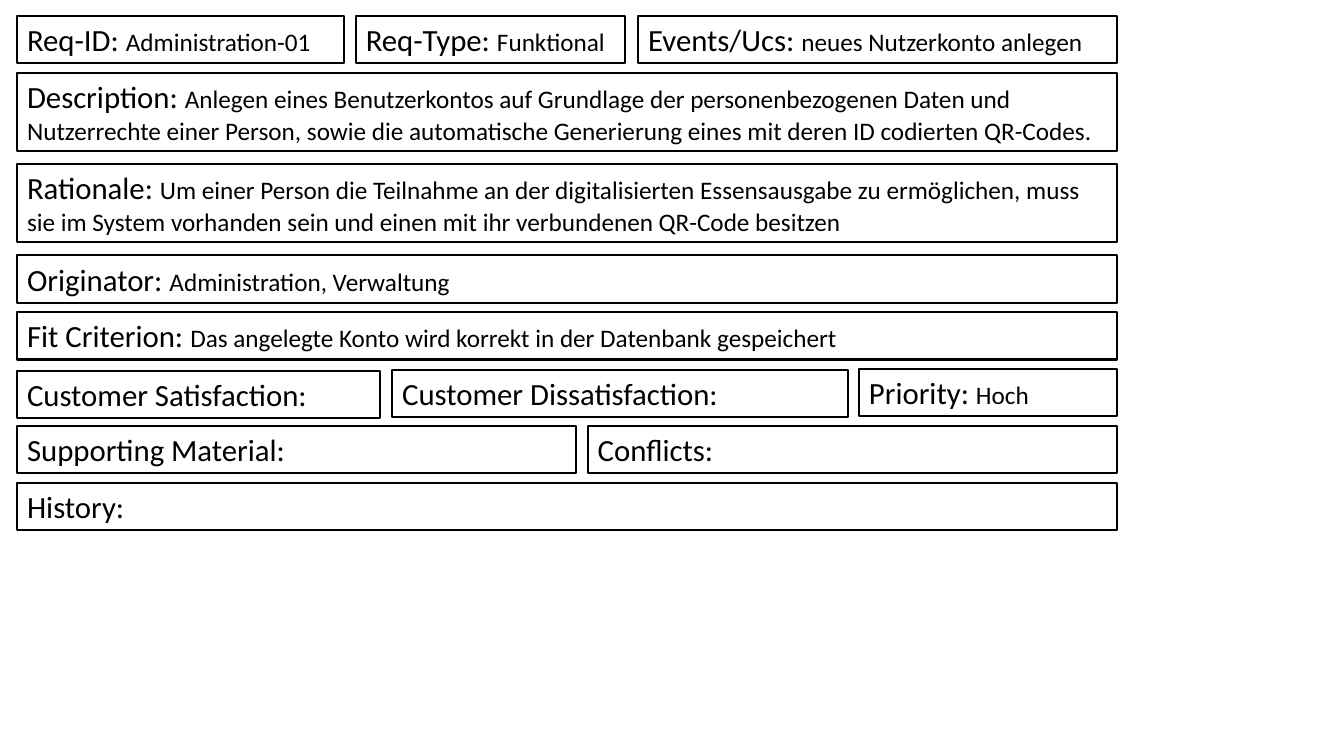
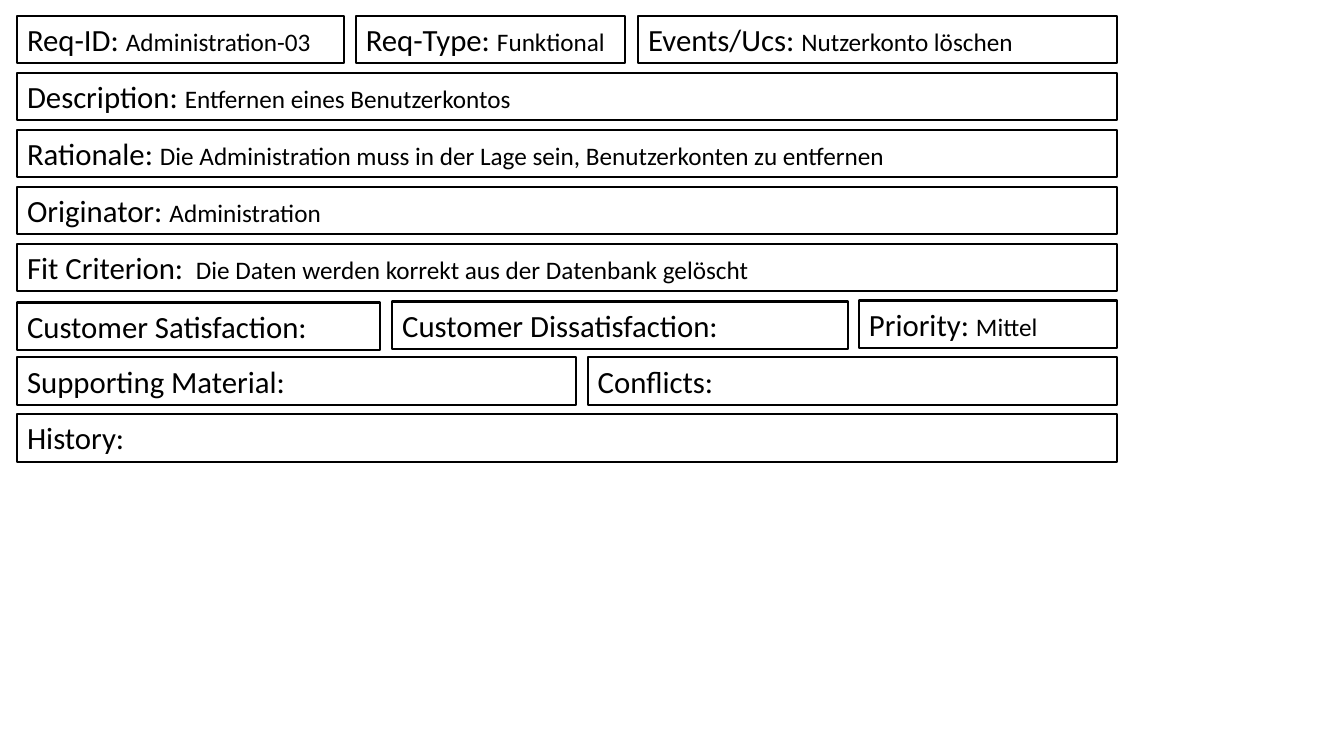
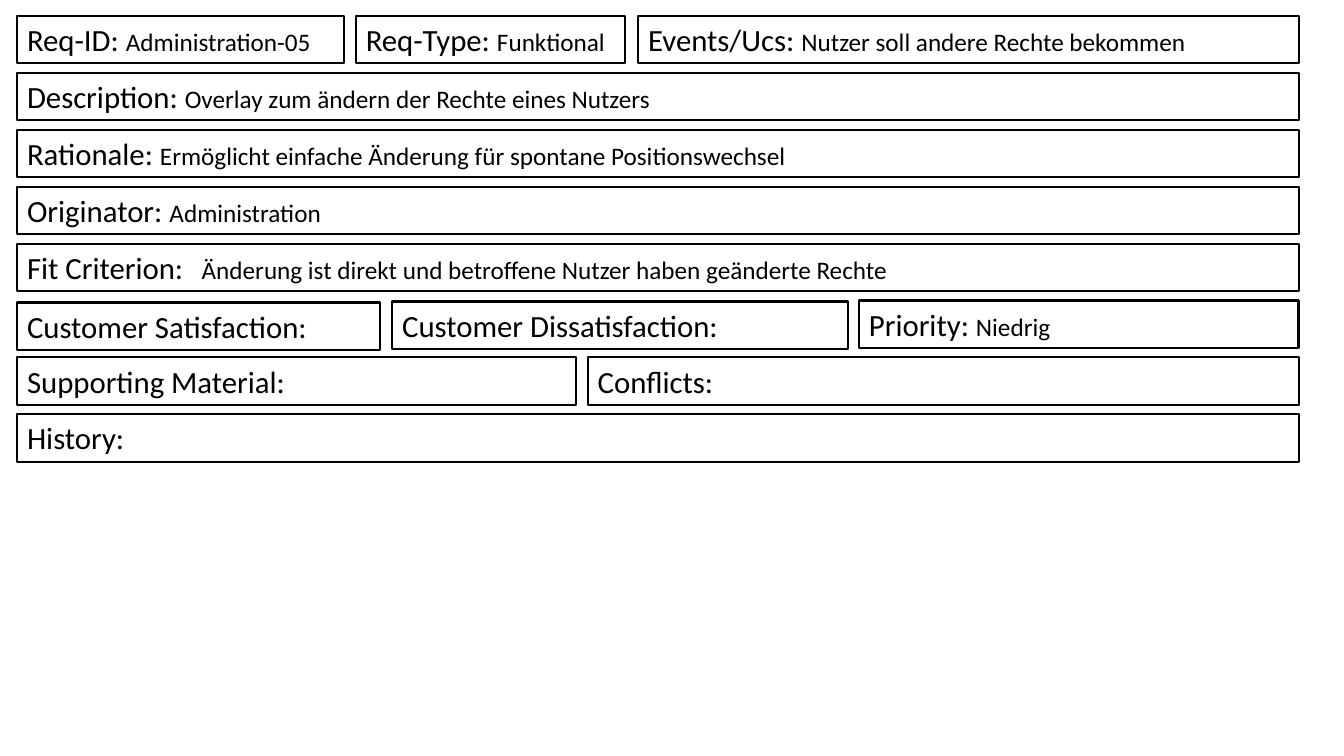
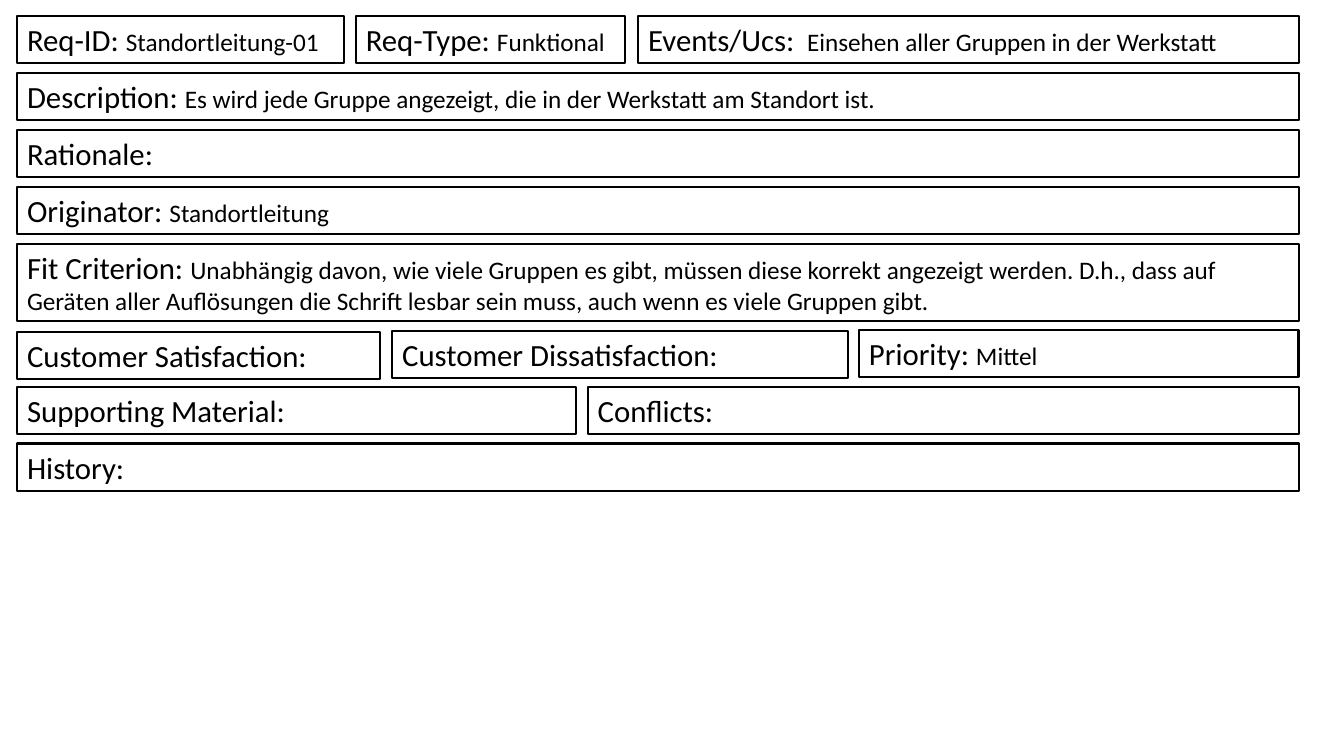
"""Build four requirement cards as rows of bordered, labelled boxes."""
from dataclasses import dataclass

from pptx import Presentation
from pptx import util as u
from pptx.dml import color
from pptx.enum import shapes, text

HUES = {"ink": "000000"}
FONT = "Calibri"
LEFT, TOP = 0.17, 0.16
STEP = (4.11 - TOP) / 7
LOW, HIGH = 0.47, 0.77


@dataclass(frozen=True)
class Field:
    label: str
    left: float = LEFT
    right: float | None = None
    drop: float = 0


@dataclass(frozen=True)
class Card:
    right: float
    values: dict[str, str]
    tall: tuple[str, ...] = ()
    extra: float = 0


ROWS = (
    (Field("Req-ID", right=3.41), Field("Req-Type", 3.53, 6.2), Field("Events/Ucs", 6.33)),
    (Field("Description"),),
    (Field("Rationale"),),
    (Field("Originator"),),
    (Field("Fit Criterion"),),
    (
        Field("Customer Satisfaction", right=3.77, drop=0.02),
        Field("Customer Dissatisfaction", 3.89, 8.41, 0.01),
        Field("Priority", 8.52),
    ),
    (Field("Supporting Material", right=5.71), Field("Conflicts", 5.83)),
    (Field("History"),),
)

CARDS = (
    Card(
        11.08,
        {
            "Req-ID": "Administration-01",
            "Req-Type": "Funktional",
            "Events/Ucs": "neues Nutzerkonto anlegen",
            "Description": "Anlegen eines Benutzerkontos auf Grundlage der personenbezogenen "
            "Daten und Nutzerrechte einer Person, sowie die automatische Generierung eines "
            "mit deren ID codierten QR-Codes.",
            "Rationale": "Um einer Person die Teilnahme an der digitalisierten Essensausgabe "
            "zu ermöglichen, muss sie im System vorhanden sein und einen mit ihr verbundenen "
            "QR-Code besitzen",
            "Originator": "Administration, Verwaltung",
            "Fit Criterion": "Das angelegte Konto wird korrekt in der Datenbank gespeichert",
            "Priority": "Hoch",
        },
        tall=("Description", "Rationale"),
        extra=0.34,
    ),
    Card(
        11.08,
        {
            "Req-ID": "Administration-03",
            "Req-Type": "Funktional",
            "Events/Ucs": "Nutzerkonto löschen",
            "Description": "Entfernen eines Benutzerkontos",
            "Rationale": "Die Administration muss in der Lage sein, Benutzerkonten zu entfernen",
            "Originator": "Administration",
            "Fit Criterion": " Die Daten werden korrekt aus der Datenbank gelöscht",
            "Priority": "Mittel",
        },
    ),
    Card(
        12.88,
        {
            "Req-ID": "Administration-05",
            "Req-Type": "Funktional",
            "Events/Ucs": "Nutzer soll andere Rechte bekommen",
            "Description": "Overlay zum ändern der Rechte eines Nutzers",
            "Rationale": "Ermöglicht einfache Änderung für spontane Positionswechsel",
            "Originator": "Administration",
            "Fit Criterion": "  Änderung ist direkt und betroffene Nutzer haben geänderte Rechte",
            "Priority": "Niedrig",
        },
    ),
    Card(
        12.88,
        {
            "Req-ID": "Standortleitung-01",
            "Req-Type": "Funktional",
            "Events/Ucs": " Einsehen aller Gruppen in der Werkstatt",
            "Description": "Es wird jede Gruppe angezeigt, die in der Werkstatt am Standort ist.",
            "Originator": "Standortleitung",
            "Fit Criterion": "Unabhängig davon, wie viele Gruppen es gibt, müssen diese korrekt "
            "angezeigt werden. D.h., dass auf Geräten aller Auflösungen die Schrift lesbar "
            "sein muss, auch wenn es viele Gruppen gibt.",
            "Priority": "Mittel",
        },
        tall=("Fit Criterion",),
        extra=0.29,
    ),
)


def tint(name: str) -> color.RGBColor:
    return color.RGBColor.from_string(HUES[name])


def write(para, words: str, *, size: float = 18, hue: str = "ink") -> None:
    run = para.add_run()
    run.text = words
    run.font.name = FONT
    run.font.size = u.Pt(size)
    run.font.color.rgb = tint(hue)


def draw_box(slide, field: Field, card: Card, top: float) -> None:
    right = field.right or card.right
    high = HIGH if field.label in card.tall else LOW
    box = slide.shapes.add_shape(
        shapes.MSO_SHAPE.RECTANGLE,
        u.Inches(field.left),
        u.Inches(top + field.drop),
        u.Inches(right - field.left),
        u.Inches(high),
    )
    box.shadow.inherit = False
    box.fill.background()
    box.line.color.rgb = tint("ink")
    box.line.width = u.Pt(1.5)
    frame = box.text_frame
    frame.word_wrap = True
    frame.auto_size = text.MSO_AUTO_SIZE.SHAPE_TO_FIT_TEXT
    frame.vertical_anchor = text.MSO_ANCHOR.TOP
    para = frame.paragraphs[0]
    para.alignment = text.PP_ALIGN.LEFT
    value = card.values.get(field.label)
    write(para, f"{field.label}: " if value else f"{field.label}:", size=22)
    if value:
        write(para, value)


def draw_card(deck, card: Card) -> None:
    slide = deck.slides.add_slide(deck.slide_layouts[6])
    top = TOP
    for row in ROWS:
        for field in row:
            draw_box(slide, field, card, top)
        top += STEP + (card.extra if row[0].label in card.tall else 0)


def main() -> None:
    deck = Presentation()
    deck.slide_width, deck.slide_height = u.Inches(13.33), u.Inches(7.5)
    for card in CARDS:
        draw_card(deck, card)
    deck.save("out.pptx")


if __name__ == "__main__":
    main()
